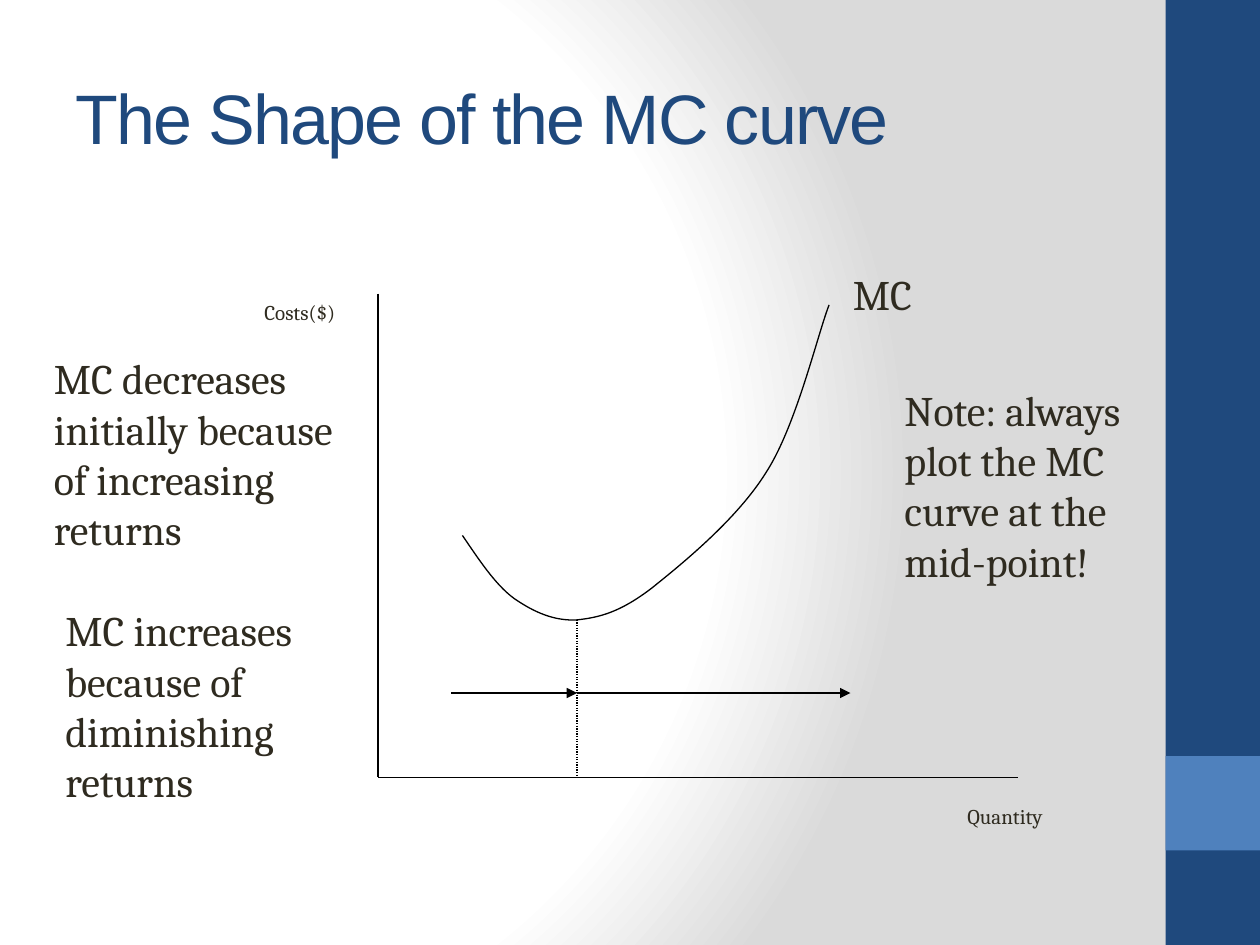
from lxml import etree
from pptx import Presentation
from pptx import util as u
from pptx.dml.color import RGBColor
from pptx.enum import dml, shapes, text
from pptx.oxml import parse_xml
from pptx.oxml.ns import nsdecls, qn

HUES = {"navy": "1F497D", "blue": "4F81BD", "ink": "2F2B20",
        "line": "000000", "white": "FFFFFF", "gray": "DADADA"}


def hue(name):
    """Return a named colour."""
    return RGBColor.from_string(HUES[name])


def backdrop(slide):
    """Fill the slide with a radial gradient from white to gray."""
    fill = slide.background.fill
    fill.solid()
    old = slide.element.find(".//" + qn("a:solidFill"))
    stops = "".join(
        f'<a:gs pos="{pos}000"><a:srgbClr val="{HUES[name]}"/></a:gs>'
        for pos, name in ((0, "white"), (75, "white"), (100, "gray")))
    grad = parse_xml(
        f'<a:gradFill {nsdecls("a")} rotWithShape="1"><a:gsLst>{stops}</a:gsLst>'
        '<a:path path="circle"><a:fillToRect l="20000" t="50000" r="100000" '
        'b="50000"/></a:path></a:gradFill>')
    old.getparent().replace(old, grad)


def block(tree, x, y, w, h, name):
    """Add a plain coloured rectangle."""
    box = tree.add_shape(shapes.MSO_SHAPE.RECTANGLE, *map(u.Inches, (x, y, w, h)))
    box.shadow.inherit = False
    box.fill.solid()
    box.fill.fore_color.rgb = hue(name)
    box.line.fill.background()


def sidebar(tree, x, y, w, h):
    """Draw the right band with its square accent."""
    block(tree, x, y, w, h, "navy")
    block(tree, x, y + h - 2 * w, w, w, "blue")


def label(tree, x, y, w, h, words, size=24, font="Cambria", name="ink"):
    """Add a wrapped text box and return its frame and run."""
    frame = tree.add_textbox(*map(u.Inches, (x, y, w, h))).text_frame
    frame.word_wrap = True
    run = frame.paragraphs[0].add_run()
    run.text = words
    run.font.size = u.Pt(size)
    run.font.name = font
    run.font.color.rgb = hue(name)
    return frame, run


def title(tree, x, y, w, h, words):
    """Add the heading, centred vertically and tightly spaced."""
    frame, run = label(tree, x, y, w, h, words, 40, "Arial", "navy")
    frame.vertical_anchor = text.MSO_ANCHOR.MIDDLE
    run.font._element.set("spc", "-100")


def stroke(line):
    """Give a line the thin black pen."""
    line.color.rgb = hue("line")
    line.width = u.Pt(0.75)


def rule(tree, x1, y1, x2, y2, dash=None, arrow=False):
    """Add a straight line, optionally dashed or with an arrowhead."""
    link = tree.add_connector(shapes.MSO_CONNECTOR.STRAIGHT,
                              *map(u.Inches, (x1, y1, x2, y2)))
    stroke(link.line)
    if dash:
        link.line.dash_style = dash
    if arrow:
        etree.SubElement(link.line._get_or_add_ln(), qn("a:tailEnd"), type="triangle")
    etree.SubElement(link._element.spPr, qn("a:effectLst"))


def curve(tree, x, y, pts):
    """Draw a smooth curve: a start point, then three points per segment."""
    pts = [(u.Inches(x + dx), u.Inches(y + dy)) for dx, dy in pts]
    form = tree.build_freeform(*pts[0])
    form.add_line_segments(pts[1:], close=False)
    shape = form.convert_to_shape()
    shape.shadow.inherit = False
    shape.fill.background()
    stroke(shape.line)
    lines = list(shape._element.iter(qn("a:lnTo")))
    for i in range(0, len(lines), 3):
        bend = etree.Element(qn("a:cubicBezTo"))
        lines[i].addprevious(bend)
        for node in lines[i:i + 3]:
            bend.append(node[0])
            node.getparent().remove(node)


def graph(tree, x, y, w, h):
    """Draw axes, marginal cost curve, midpoint and direction arrows."""
    base, mid, row = y + h, x + 1.58, y + 3.17
    rule(tree, x, y, x, base)
    rule(tree, x, base, x + w, base)
    label(tree, x - 1, y, 0.83, 0.3, "Costs($)", 12)
    label(tree, x + w - 0.5, base + 0.16, 0.83, 0.3, "Quantity", 12)
    label(tree, x + 3.67, y - 0.25, 0.92, 0.5, "MC")
    rule(tree, mid, y + 2.59, mid, base, dml.MSO_LINE.ROUND_DOT)
    rule(tree, x + 0.58, row, mid, row, arrow=True)
    rule(tree, mid, row, x + 3.75, row, arrow=True)
    curve(tree, x, y, [
        (0.67, 1.92),
        (0.8, 2.11), (0.93, 2.31), (1.08, 2.42),
        (1.24, 2.53), (1.4, 2.6), (1.58, 2.59),
        (1.76, 2.57), (1.92, 2.53), (2.17, 2.34),
        (2.42, 2.14), (2.85, 1.79), (3.08, 1.42),
        (3.32, 1.05), (3.49, 0.32), (3.58, 0.09)])


def notes(tree, x, y):
    """Place the three remarks around the graph."""
    for dx, dy, w, words in (
            (0, 0, 2.5, "MC decreases initially because of increasing returns"),
            (0.09, 2, 2.25, "MC increases because of diminishing returns"),
            (6.75, 0.25, 2.08, "Note: always plot the MC curve at the mid-point!")):
        label(tree, x + dx, y + dy, w, 1.7, words)


def main():
    """Build and save the slide."""
    deck = Presentation()
    deck.slide_width, deck.slide_height = u.Inches(10), u.Inches(7.5)
    slide = deck.slides.add_slide(deck.slide_layouts[6])
    tree = slide.shapes
    backdrop(slide)
    sidebar(tree, 9.25, 0, 0.75, 7.5)
    title(tree, 0.5, 0.3, 8.33, 1.25, "The Shape of the MC curve")
    graph(tree, 3, 2.33, 5.08, 3.84)
    notes(tree, 0.33, 2.75)
    deck.save("out.pptx")


main()
